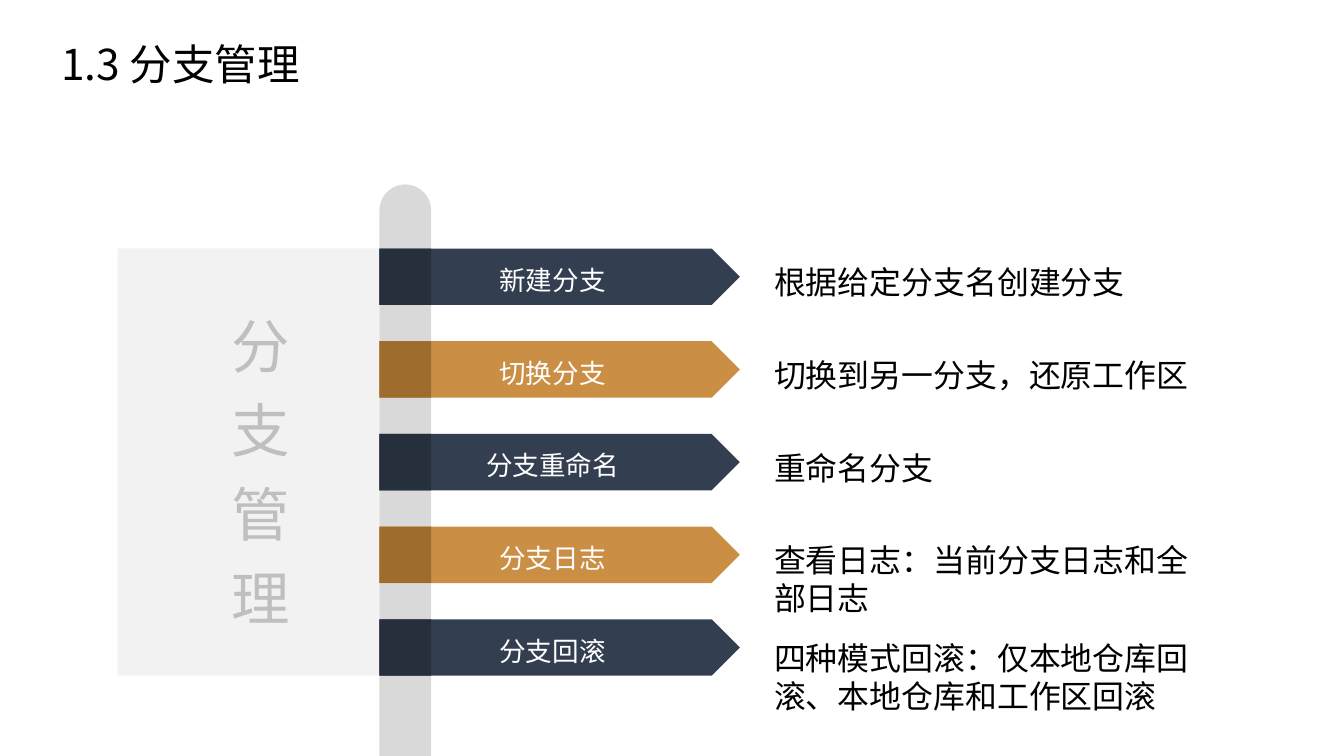
from dataclasses import dataclass

from lxml import etree
from pptx import Presentation
from pptx import util as u
from pptx.dml.color import RGBColor
from pptx.enum import shapes, text
from pptx.oxml.ns import qn


@dataclass(frozen=True)
class Theme:
    font: str = "Noto Sans CJK SC"
    title_size: int = 32
    panel_size: int = 44
    label_size: int = 20
    note_size: int = 24
    ink: str = "000000"
    white: str = "FFFFFF"
    pole: str = "D9D9D9"
    panel: str = "F2F2F2"
    panel_ink: str = "BFBFBF"
    bands: tuple = (("333F50", "262F3C"), ("CA8F45", "9E6C2D"))


THEME = Theme()
WIDTH, HEIGHT = 14.06, 7.91
POLE_LEFT, POLE_WIDTH = 3.97, 0.54
PANEL_TOP, PANEL_HEIGHT = 2.6, 4.47
ROW_HEIGHT = 0.59

BRANCH_ACTIONS = [
    ("新建分支", "根据给定分支名创建分支"),
    ("切换分支", "切换到另一分支，还原工作区"),
    ("分支重命名", "重命名分支"),
    ("分支日志", "查看日志：当前分支日志和全部日志"),
    ("分支回滚", "四种模式回滚：仅本地仓库回滚、本地仓库和工作区回滚"),
]


def inches(box):
    return [u.Inches(value) for value in box]


def write(sp, content, size, color, align=text.PP_ALIGN.LEFT, spacing=None,
          anchor=text.MSO_ANCHOR.TOP, wrap=True):
    tf = sp.text_frame
    tf.word_wrap = wrap
    tf.vertical_anchor = anchor
    p = tf.paragraphs[0]
    p.text = content
    p.alignment = align
    if spacing:
        p.line_spacing = spacing
    p.font.size = u.Pt(size)
    p.font.color.rgb = RGBColor.from_string(color)
    p.font.name = THEME.font
    props = p._p.pPr.find(qn("a:defRPr"))
    etree.SubElement(props, qn("a:ea")).set("typeface", THEME.font)
    return tf


def add_block(parent, kind, box, fill):
    sp = parent.add_shape(kind, *inches(box))
    sp.shadow.inherit = False
    sp.fill.solid()
    sp.fill.fore_color.rgb = RGBColor.from_string(fill)
    sp.line.fill.background()
    return sp


def add_title(s, box, content):
    title = s.shapes.title
    title.left, title.top, title.width, title.height = inches(box)
    tf = write(title, content, THEME.title_size, THEME.ink,
               anchor=text.MSO_ANCHOR.MIDDLE)
    tf.auto_size = text.MSO_AUTO_SIZE.NONE
    tf.margin_left = tf.margin_top = tf.margin_right = tf.margin_bottom = 0


def add_pole(s, box):
    pole = add_block(s.shapes, shapes.MSO_SHAPE.ROUND_2_SAME_RECTANGLE, box, THEME.pole)
    pole.adjustments[0] = 0.5
    pole.adjustments[1] = 0


def add_panel(s, box, content):
    left, top, width, height = box
    group = s.shapes.add_group_shape().shapes
    add_block(group, shapes.MSO_SHAPE.RECTANGLE, box, THEME.panel)
    column = (left + width * 0.4, top + height * 0.1, 0.8, height * 0.8)
    write(group.add_textbox(*inches(column)), content,
          THEME.panel_size, THEME.panel_ink, spacing=1.2)


def add_arrow(s, box, label, colors):
    left, top, width, height = box
    fill, shade = colors
    group = s.shapes.add_group_shape().shapes
    arrow = add_block(group, shapes.MSO_SHAPE.PENTAGON, box, fill)
    write(arrow, label, THEME.label_size, THEME.white, text.PP_ALIGN.CENTER,
          1.2, text.MSO_ANCHOR.MIDDLE)
    add_block(group, shapes.MSO_SHAPE.RECTANGLE, (left, top, POLE_WIDTH, height), shade)


def add_note(s, box, content, wrap):
    write(s.shapes.add_textbox(*inches(box)), content,
          THEME.note_size, THEME.ink, wrap=wrap)


def add_actions(s, box, actions):
    left, top, width, height = box
    pitch = (height - ROW_HEIGHT) / (len(actions) - 1)
    for i, (label, note) in enumerate(actions):
        y = top + i * pitch
        add_arrow(s, (left, y, width, ROW_HEIGHT), label,
                  THEME.bands[i % len(THEME.bands)])
        wrap = i == len(actions) - 1
        note_top, note_height = (y + 0.15, 0.91) if wrap else (y + 0.1, 0.5)
        add_note(s, (left + width + 0.26, note_top, 4.54, note_height), note, wrap)


def main():
    prs = Presentation()
    prs.slide_width, prs.slide_height = inches((WIDTH, HEIGHT))
    s = prs.slides.add_slide(prs.slide_layouts[5])
    add_title(s, (0.64, 0.39, 4.03, 0.54), "1.3 分支管理")
    add_pole(s, (POLE_LEFT, 1.93, POLE_WIDTH, HEIGHT - 1.93))
    add_panel(s, (1.23, PANEL_TOP, POLE_LEFT - 1.23, PANEL_HEIGHT), "分支管理")
    add_actions(s, (POLE_LEFT, PANEL_TOP, 3.77, PANEL_HEIGHT), BRANCH_ACTIONS)
    prs.save("out.pptx")


if __name__ == "__main__":
    main()
